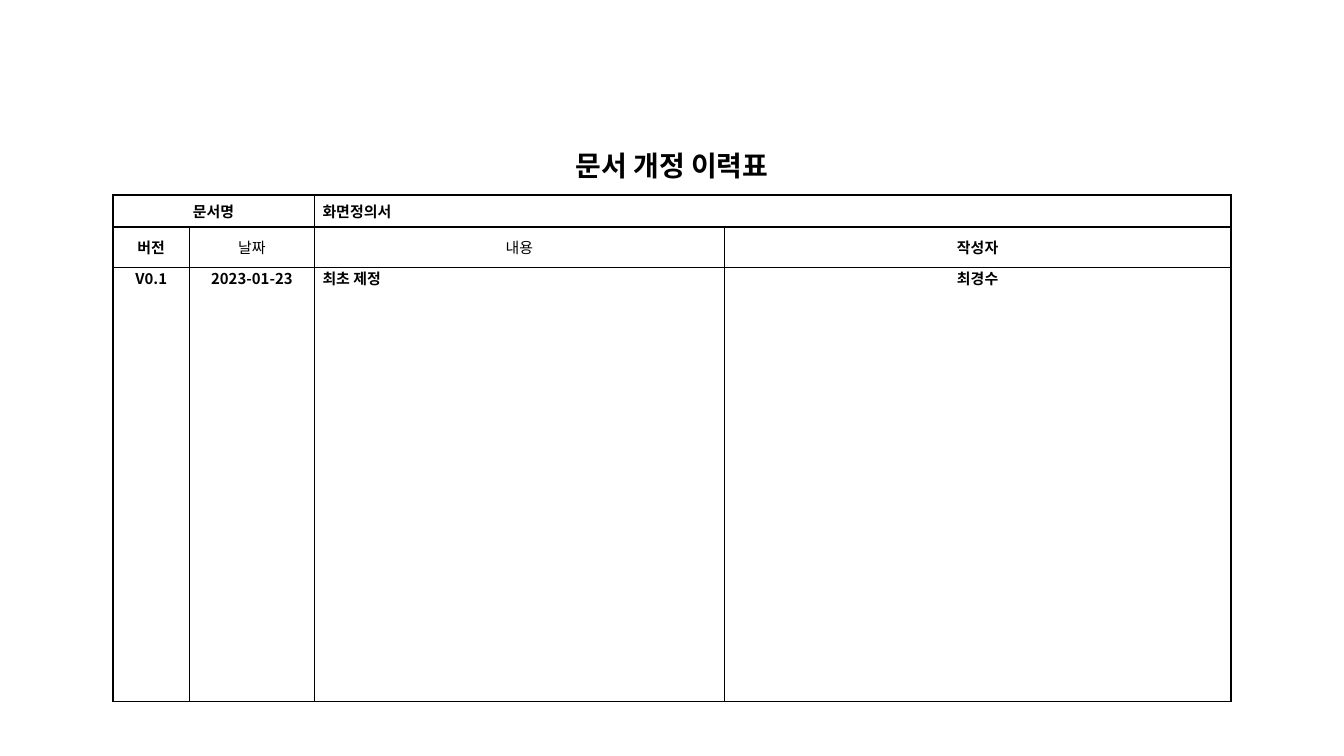
from typing import NamedTuple

from lxml import etree
from pptx import Presentation
from pptx.dml.color import RGBColor
from pptx.enum.text import MSO_ANCHOR, PP_ALIGN
from pptx.oxml.ns import qn
from pptx.util import Inches, Pt

CENTER, JUSTIFY = PP_ALIGN.CENTER, PP_ALIGN.JUSTIFY
TOP, MIDDLE, BOTTOM = MSO_ANCHOR.TOP, MSO_ANCHOR.MIDDLE, MSO_ANCHOR.BOTTOM
FONT = "Noto Sans CJK KR"
BLACK, WHITE = "000000", "FFFFFF"
COLUMNS = (0.57, 0.93, 3.05, 3.77)
ROWS = (0.77, 0.24, 0.3, 3.23)


class Entry(NamedTuple):
    row: int
    col: int
    text: str
    span: int = 1
    align: PP_ALIGN = CENTER
    anchor: MSO_ANCHOR = MIDDLE
    size: float = 8
    bold: bool = True
    bottom: float = 0


ENTRIES = (
    Entry(0, 0, "문서 개정 이력표", span=4, anchor=BOTTOM, size=15, bottom=0.08),
    Entry(1, 0, "문서명", span=2),
    Entry(1, 2, "화면정의서", span=2, align=JUSTIFY),
    Entry(2, 0, "버전"),
    Entry(2, 1, "날짜", bold=False),
    Entry(2, 2, "내용", bold=False),
    Entry(2, 3, "작성자"),
    Entry(3, 0, "V0.1", anchor=TOP),
    Entry(3, 1, "2023-01-23", anchor=TOP),
    Entry(3, 2, "최초 제정", align=JUSTIFY, anchor=TOP),
    Entry(3, 3, "최경수", anchor=TOP),
)


def rgb(color: str) -> RGBColor:
    return RGBColor.from_string(color)


def set_borders(cell, colors: dict[str, str]) -> None:
    """Draw 1 pt borders; colors maps L, R, T, B, in that order, to hex."""
    tc_pr = cell._tc.get_or_add_tcPr()
    for side, color in colors.items():
        ln = etree.SubElement(tc_pr, qn(f"a:ln{side}"), w=str(Pt(1)))
        fill = etree.SubElement(ln, qn("a:solidFill"))
        etree.SubElement(fill, qn("a:srgbClr"), val=color)


def fill_entry(table, entry: Entry) -> None:
    cell = table.cell(entry.row, entry.col)
    if entry.span > 1:
        cell.merge(table.cell(entry.row, entry.col + entry.span - 1))
    cell.margin_left = cell.margin_right = Inches(0.06)
    cell.margin_top, cell.margin_bottom = 0, Inches(entry.bottom)
    cell.vertical_anchor = entry.anchor
    p = cell.text_frame.paragraphs[0]
    p.text = entry.text
    p.alignment = entry.align
    font = p.font
    font.name, font.size, font.bold = FONT, Pt(entry.size), entry.bold
    font.color.rgb = rgb(BLACK)
    etree.SubElement(p._p.pPr.defRPr, qn("a:ea"), typeface=FONT)


def add_history_table(slide) -> None:
    table = slide.shapes.add_table(
        len(ROWS), len(COLUMNS), Inches(0.84), Inches(0.68),
        Inches(sum(COLUMNS)), Inches(sum(ROWS))).table
    table.first_row = table.horz_banding = False
    for column, width in zip(table.columns, COLUMNS):
        column.width = Inches(width)
    for i, (row, height) in enumerate(zip(table.rows, ROWS)):
        row.height = Inches(height)
        colors = dict.fromkeys("LRT", BLACK if i else WHITE) | {"B": BLACK}
        for cell in row.cells:
            set_borders(cell, colors)
            cell.fill.background()
    for entry in ENTRIES:
        fill_entry(table, entry)


def main() -> None:
    prs = Presentation()
    prs.slide_width = Inches(10)
    prs.slide_height = prs.slide_width * 9 // 16
    s = prs.slides.add_slide(prs.slide_layouts[6])
    add_history_table(s)
    prs.save("out.pptx")


if __name__ == "__main__":
    main()
